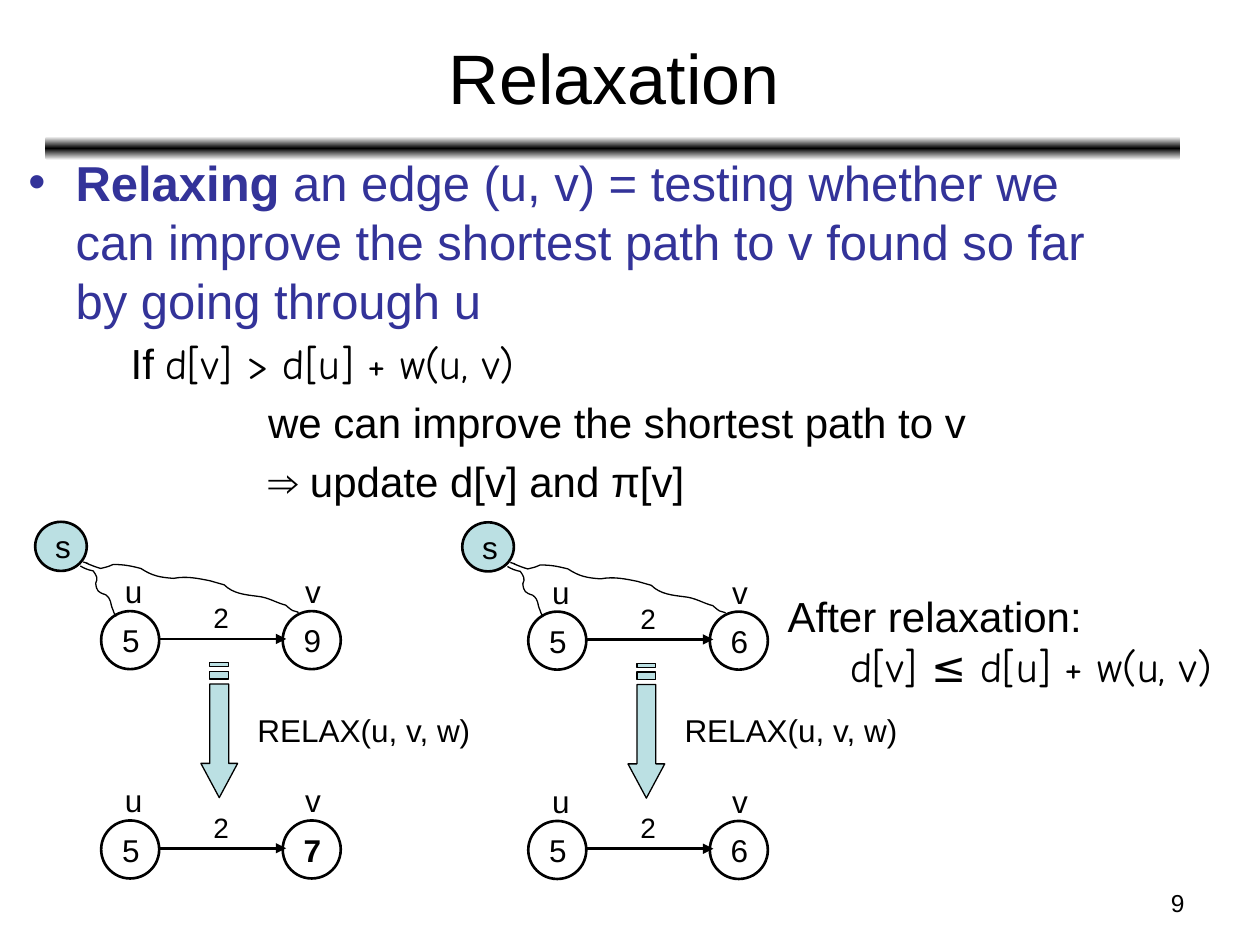
from lxml.etree import SubElement
from pptx import Presentation
from pptx.dml.color import RGBColor
from pptx.enum.shapes import MSO_CONNECTOR, MSO_SHAPE
from pptx.enum.text import MSO_ANCHOR, MSO_AUTO_SIZE, PP_ALIGN
from pptx.oxml.ns import qn
from pptx.util import Cm, Pt

COLORS = {"ink": "000000", "accent": "333399", "tint": "BBE0E3", "paper": "FFFFFF"}
SANS, COMIC = "Arial", "Comic Neue"
UNITS_PER_CM = 1000
NODE = 1.17

SHORT_PATH = [
    (0.91, 0.89), (0.99, 0.94), (1.07, 0.97), (1.17, 0.99),
    (1.24, 1.09), (1.27, 1.14), (1.22, 1.24),
    (1.24, 1.40), (1.27, 1.42), (1.42, 1.47),
    (1.55, 1.57), (1.50, 1.63), (1.57, 1.78),
    (1.60, 1.88), (1.60, 1.83), (1.63, 1.91),
]
LONG_PATH = [
    (0.97, 0.81), (1.22, 0.89), (0.84, 0.76), (1.17, 0.89),
    (1.22, 0.91), (1.32, 0.94), (1.32, 0.94),
    (1.52, 0.89), (1.45, 0.91), (1.57, 0.86),
    (1.80, 0.86), (1.93, 0.89), (2.13, 0.94),
    (2.36, 1.09), (2.51, 1.12), (2.79, 1.14),
    (3.05, 1.09), (3.28, 1.14), (3.53, 1.19),
    (3.63, 1.22), (3.81, 1.27), (3.81, 1.27),
    (3.99, 1.45), (4.24, 1.47), (4.47, 1.50),
    (4.70, 1.52), (4.85, 1.63), (5.05, 1.68),
    (5.11, 1.73), (5.18, 1.80), (5.23, 1.80),
    (5.26, 1.80), (5.31, 1.83), (5.31, 1.83),
]


def color(name):
    return RGBColor.from_string(COLORS[name])


def place(shape, left, top, width, height):
    shape.left, shape.top = Cm(left), Cm(top)
    shape.width, shape.height = Cm(width), Cm(height)


def add_run(paragraph, text, size, font=SANS, ink="ink", bold=False):
    run = paragraph.add_run()
    run.text = text
    run.font.name, run.font.size, run.font.bold = font, Pt(size), bold
    run.font.color.rgb = color(ink)


def add_text(parent, box, text, size, align=PP_ALIGN.LEFT):
    shape = parent.shapes.add_textbox(*map(Cm, box))
    shape.text_frame.word_wrap = True
    paragraph = shape.text_frame.paragraphs[0]
    paragraph.alignment = align
    add_run(paragraph, text, size)
    return shape


def style(shape, width, fill=None):
    shape.shadow.inherit = False
    if fill:
        shape.fill.solid()
        shape.fill.fore_color.rgb = color(fill)
    else:
        shape.fill.background()
    shape.line.color.rgb = color("ink")
    shape.line.width = Pt(width)


def set_indent(paragraph, margin, first=0, bullet=None):
    properties = paragraph._p.get_or_add_pPr()
    properties.set("marL", str(Cm(margin)))
    properties.set("indent", str(Cm(first)))
    if bullet:
        bullet_color = SubElement(properties, qn("a:buClr"))
        SubElement(bullet_color, qn("a:srgbClr")).set("val", COLORS["accent"])
        SubElement(properties, qn("a:buChar")).set("char", bullet)
    else:
        SubElement(properties, qn("a:buNone"))


def add_outline(parent, left, top, contours, closed):
    scaled = [[(x * UNITS_PER_CM, y * UNITS_PER_CM) for x, y in contour]
              for contour in contours]
    builder = parent.shapes.build_freeform(*scaled[0][0], scale=Cm(1) / UNITS_PER_CM)
    for index, contour in enumerate(scaled):
        if index:
            builder.move_to(*contour[0])
        builder.add_line_segments(contour[1:], close=closed)
    return builder.convert_to_shape(Cm(left), Cm(top))


def add_curve(parent, left, top, points):
    curve = add_outline(parent, left, top, [points], False)
    segments = list(curve._element.spPr.iter(qn("a:lnTo")))
    outline = segments[0].getparent()
    for start in range(0, len(segments), 3):
        bezier = SubElement(outline, qn("a:cubicBezTo"))
        for segment in segments[start:start + 3]:
            bezier.append(segment[0])
            outline.remove(segment)
    style(curve, 0.75)


def add_node(parent, left, top, width, height, text, fill=None, bold=False):
    node = parent.shapes.add_shape(MSO_SHAPE.OVAL, *map(Cm, (left, top, width, height)))
    style(node, 1.5, fill)
    node.text_frame.vertical_anchor = MSO_ANCHOR.MIDDLE
    paragraph = node.text_frame.paragraphs[0]
    paragraph.alignment = PP_ALIGN.CENTER
    add_run(paragraph, text, 18, bold=bold)


def add_edge(slide, left, top, distance, bold=False):
    group = slide.shapes.add_group_shape()
    add_node(group, left, top, NODE, NODE, "5")
    add_node(group, left + 3.66, top, NODE, NODE, distance, bold=bold)
    edge = group.shapes.add_connector(
        MSO_CONNECTOR.STRAIGHT, Cm(left + NODE), Cm(top + 0.56),
        Cm(left + 3.73), Cm(top + 0.56))
    edge.line.color.rgb = color("ink")
    edge.line.width = Pt(1.5)
    SubElement(edge.line._get_or_add_ln(), qn("a:tailEnd")).set("type", "triangle")
    SubElement(edge._element.spPr, qn("a:effectLst"))
    add_text(group, (left + 2.01, top - 0.33, 0.81, 0.94), "2", 16)
    for offset, name in ((0.23, "u"), (3.86, "v")):
        add_text(group, (left + offset, top - 0.91, 0.86, 1.02), name, 18)


def add_striped_arrow(slide, left, top):
    arrow = [(2.03, 0), (2.03, 0.18), (0.43, 0.18), (0.43, 0.56),
             (2.03, 0.56), (2.03, 0.74), (2.72, 0.37)]
    stripes = [[(start, 0.18), (start, 0.56), (end, 0.56), (end, 0.18)]
               for start, end in ((0.18, 0.33), (0, 0.08))]
    shape = add_outline(slide, left - 0.99, top + 0.99, [arrow, *stripes], True)
    shape.rotation = 90
    style(shape, 0.75, "tint")


def add_source(slide, left, top):
    group = slide.shapes.add_group_shape()
    add_node(group, left, top, 1.04, 0.99, "s", "tint")
    for points in (SHORT_PATH, LONG_PATH):
        add_curve(group, left, top, points)


def add_example(slide, left, top, before, after, bold=False):
    edge_left, edge_top = left + 1.33, top + 1.8
    add_edge(slide, edge_left, edge_top, before)
    add_edge(slide, edge_left, edge_top + 4.22, after, bold)
    add_striped_arrow(slide, edge_left + 2.01, edge_top + 1.04)
    add_text(slide, (edge_left + 2.9, edge_top + 1.88, 4.85, 1.02), "RELAX(u, v, w)", 18)
    add_source(slide, left, top)


def add_rule(slide, left, top, width, height):
    rule = slide.shapes.add_shape(
        MSO_SHAPE.ROUNDED_RECTANGLE, *map(Cm, (left, top, width, height)))
    rule.shadow.inherit = False
    rule.line.fill.background()
    rule.fill.gradient()
    rule.fill.gradient_angle = 90
    stops = rule._element.spPr.find(qn("a:gradFill")).find(qn("a:gsLst"))
    stops.clear()
    for position, name in ((0, "paper"), (50000, "ink"), (100000, "paper")):
        stop = SubElement(stops, qn("a:gs"))
        stop.set("pos", str(position))
        SubElement(stop, qn("a:srgbClr")).set("val", COLORS[name])


def fill_title(title, *box):
    place(title, *box)
    title.text_frame.vertical_anchor = MSO_ANCHOR.MIDDLE
    paragraph = title.text_frame.paragraphs[0]
    paragraph.alignment = PP_ALIGN.CENTER
    add_run(paragraph, "Relaxation", 40)


def fill_body(body, *box):
    place(body, *box)
    frame = body.text_frame
    frame.auto_size = MSO_AUTO_SIZE.NONE
    frame.vertical_anchor = MSO_ANCHOR.TOP
    paragraph = frame.paragraphs[0]
    paragraph.space_before = Pt(0)
    set_indent(paragraph, 0.95, -0.95, "•")
    add_run(paragraph, "Relaxing ", 28, ink="accent", bold=True)
    add_run(paragraph, "an edge (u, v) = testing whether we can improve the shortest "
            "path to v found so far by going through u", 28, ink="accent")
    for margin, runs in (
        (2.06, [("If ", SANS), ("d[v] > d[u] + w(u, v)", COMIC)]),
        (4.83, [("we can improve the shortest path to v", SANS)]),
        (4.83, [("⇒ update d[v] and π[v]", SANS)]),
    ):
        paragraph = frame.add_paragraph()
        paragraph.level = 1
        paragraph.space_before = Pt(4.8)
        set_indent(paragraph, margin)
        for text, font in runs:
            add_run(paragraph, text, 24, font)


def add_conclusion(slide, *box):
    shape = add_text(slide, box, "After relaxation:", 24)
    paragraph = shape.text_frame.add_paragraph()
    paragraph.level = 1
    set_indent(paragraph, 1.27)
    add_run(paragraph, "d[v] ≤ d[u] + w(u, v)", 24, COMIC)


def main():
    presentation = Presentation()
    presentation.slide_width, presentation.slide_height = Cm(25.4), Cm(19.05)
    slide = presentation.slides.add_slide(presentation.slide_layouts[1])
    add_rule(slide, 0.91, 2.75, 22.89, 0.48)
    fill_title(slide.shapes.title, 0.95, 0.28, 22.86, 2.51)
    fill_body(slide.placeholders[1], 0.32, 2.95, 22.86, 8.1)
    add_example(slide, 0.71, 10.52, "9", "7", bold=True)
    add_example(slide, 9.32, 10.53, "6", "6")
    add_conclusion(slide, 15.63, 11.78, 9.42, 2.29)
    add_text(slide, (18.21, 17.78, 5.92, 0.89), "9", 14, PP_ALIGN.RIGHT)
    presentation.save("out.pptx")


if __name__ == "__main__":
    main()
